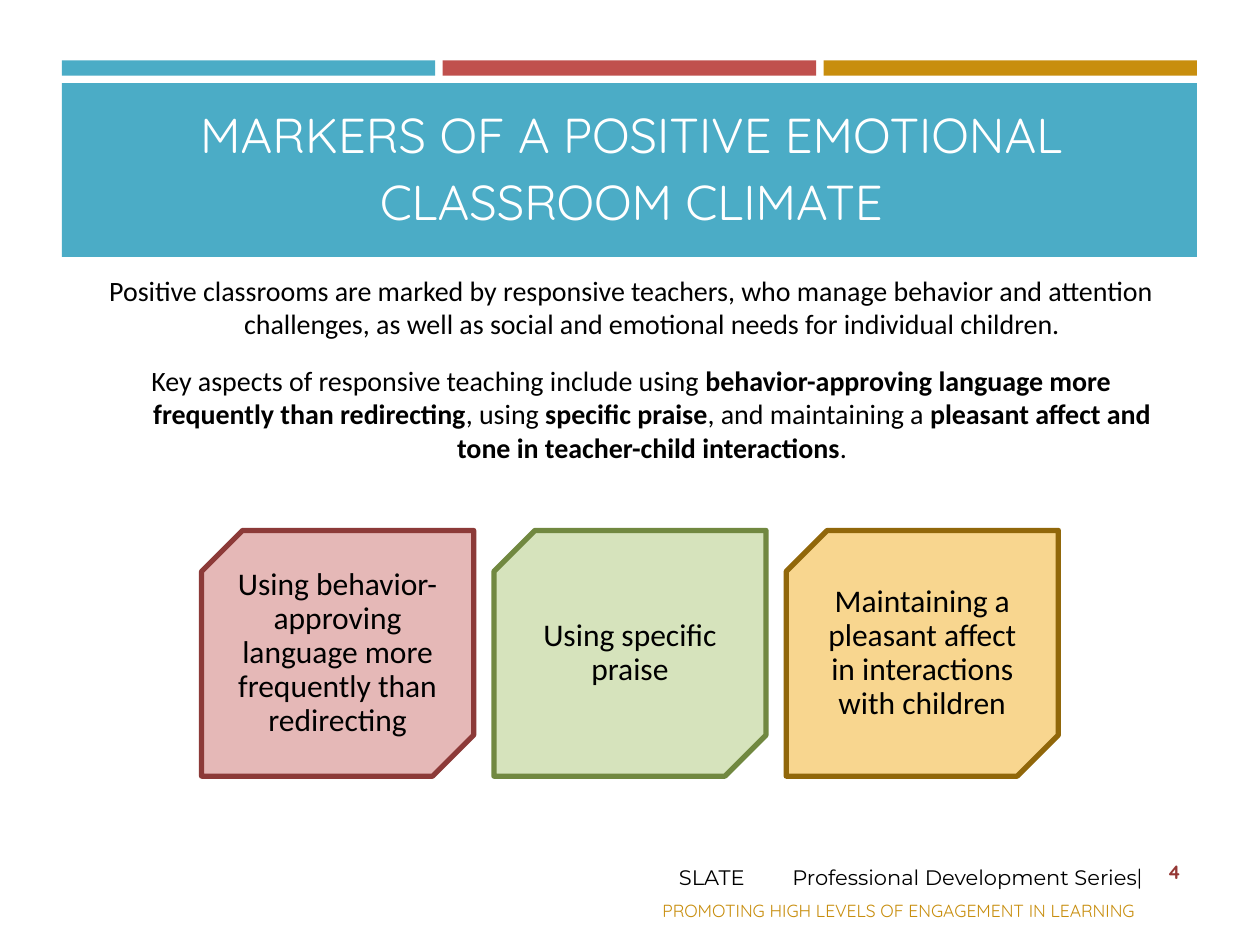
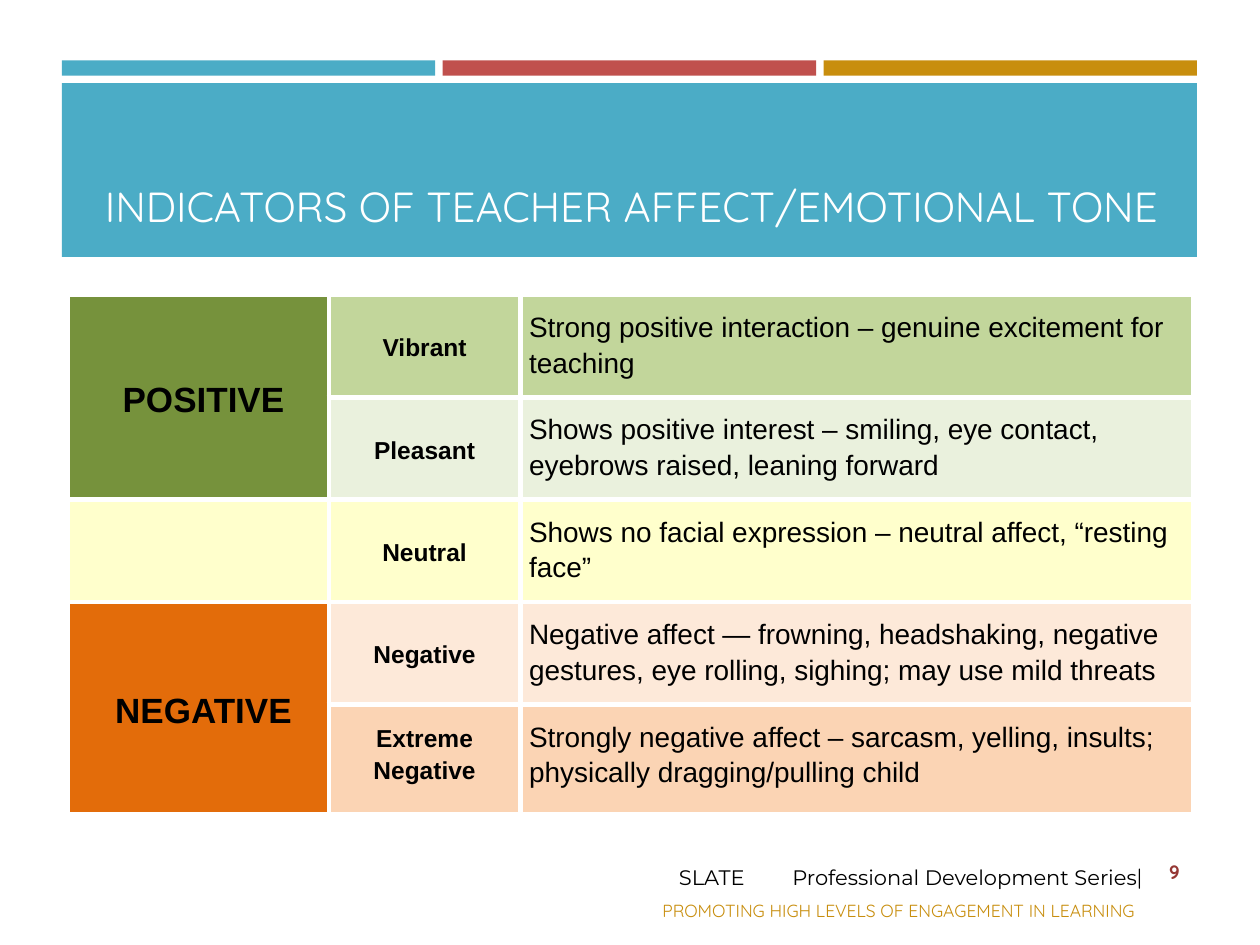
from lxml import etree
from pptx import Presentation
from pptx.dml.color import RGBColor
from pptx.enum.shapes import MSO_SHAPE as Preset
from pptx.enum.text import MSO_ANCHOR as Anchor, PP_ALIGN as Align
from pptx.oxml.ns import qn
from pptx.util import Inches, Pt

TEAL, RED, GOLD = "4BACC6", "C0504D", "C88E0E"
WHITE, BLACK, MAROON = "FFFFFF", "000000", "953734"
HEADING, BODY, FOOTER, TABLE = "Quicksand", "Calibri", "Montserrat", "Arial"

BAND_LEFT, BAND_WIDTH, BAR_GAP = 0.49, 9.01, 0.06
SERIES = "SLATE\tProfessional Development Series"
TAGLINE = "PROMOTING HIGH LEVELS OF ENGAGEMENT IN LEARNING"

CLIMATE_TITLE = "MARKERS OF A POSITIVE EMOTIONAL CLASSROOM CLIMATE"
# Each paragraph is a list of (text, bold)
CLIMATE_TEXT = [
    [("Positive classrooms are marked by responsive teachers, who manage behavior and attention "
      "challenges, as well as social and emotional needs for individual children.", False)],
    [("Key aspects of responsive teaching include using ", False),
     ("behavior-approving language more frequently than redirecting", True),
     (", using ", False),
     ("specific praise", True),
     (", and maintaining a ", False),
     ("pleasant affect and tone in teacher-child interactions", True),
     (".", False)],
]
# Text, fill, outline
CARDS = [
    ("Using behavior-approving language more frequently than redirecting", "E5B8B7", "8C3A38"),
    ("Using specific praise", "D6E3BC", "718840"),
    ("Maintaining a pleasant affect in interactions with children", "F8D68F", "91670A"),
]
CARD_LEFT, CARD_TOP, CARD_WIDTH, CARD_HEIGHT, CARD_PITCH = 1.6, 4.21, 2.16, 1.95, 2.32

TONE_TITLE = "INDICATORS OF TEACHER AFFECT/EMOTIONAL TONE"
# Group, fill, its levels (name, description, fill)
TONES = [
    ("POSITIVE", "76923C", [
        ("Vibrant", "Strong positive interaction – genuine excitement for teaching", "C2D69B"),
        ("Pleasant", "Shows positive interest – smiling, eye contact, eyebrows raised, "
                     "leaning forward", "EAF1DD")]),
    ("", "FFFFCC", [
        ("Neutral", "Shows no facial expression – neutral affect, “resting face”", "FFFFCC")]),
    ("NEGATIVE", "E36C0A", [
        ("Negative", "Negative affect — frowning, headshaking, negative gestures, eye rolling, "
                     "sighing; may use mild threats", "FDE9D9"),
        ("Extreme Negative", "Strongly negative affect – sarcasm, yelling, insults; "
                             "physically dragging/pulling child", "FBD4B4")]),
]
COLUMN_WIDTHS = [2.07, 1.52, 5.34]
ROW_HEIGHTS = [0.78, 0.78, 0.78, 0.78, 0.87]


def rgb(color):
    return RGBColor.from_string(color)


def style(para, font, size, color=BLACK, bold=False, align=Align.CENTER, spacing=None):
    para.font.name, para.font.size, para.font.bold = font, Pt(size), bold
    para.font.color.rgb = rgb(color)
    para.alignment = align
    if spacing:
        para.line_spacing = spacing


def set_margins(target, side, top):
    """Set the text insets of a frame or a cell."""
    target.margin_left = target.margin_right = Inches(side)
    target.margin_top = target.margin_bottom = Inches(top)


def set_indent(para, left, first=0):
    properties = para._p.get_or_add_pPr()
    properties.set("marL", str(Inches(left)))
    properties.set("indent", str(Inches(first)))


def add_tab_stop(para, position):
    tabs = etree.SubElement(para._p.get_or_add_pPr(), qn("a:tabLst"))
    etree.SubElement(tabs, qn("a:tab"), pos=str(Inches(position)), algn="l")


def add_frame(page, left, top, width, height, anchor=Anchor.TOP, inset=0.05):
    box = page.shapes.add_textbox(*map(Inches, (left, top, width, height)))
    frame = box.text_frame
    frame.word_wrap = True
    frame.vertical_anchor = anchor
    set_margins(frame, 0.1, inset)
    return frame


def add_block(page, preset, left, top, width, height, fill, outline=None):
    block = page.shapes.add_shape(preset, *map(Inches, (left, top, width, height)))
    block.shadow.inherit = False
    block.fill.solid()
    block.fill.fore_color.rgb = rgb(fill)
    if outline:
        block.line.color.rgb = rgb(outline)
        block.line.width = Pt(3)
    else:
        block.line.fill.background()
    return block


def add_page(deck, title, title_size, number):
    """Add a slide with the bars, title band and footer."""
    page = deck.slides.add_slide(deck.slide_layouts[6])
    bar_width = (BAND_WIDTH - 2 * BAR_GAP) / 3
    for index, color in enumerate((TEAL, RED, GOLD)):
        left = BAND_LEFT + index * (bar_width + BAR_GAP)
        add_block(page, Preset.RECTANGLE, left, 0.48, bar_width, 0.12, color)
    add_block(page, Preset.RECTANGLE, BAND_LEFT, 0.66, BAND_WIDTH, 1.38, TEAL)

    para = add_frame(page, 0.64, 0.75, 8.74, 1.18, Anchor.BOTTOM, 0.1).paragraphs[0]
    para.text = title
    style(para, HEADING, title_size, WHITE, spacing=1.15)

    para = add_frame(page, 9.06, 6.72, 0.52, 0.4, Anchor.MIDDLE).paragraphs[0]
    para.text = str(number)
    style(para, HEADING, 11, MAROON, bold=True)

    para = add_frame(page, 5.29, 6.78, 4.29, 0.37, Anchor.MIDDLE).paragraphs[0]
    para.text = SERIES
    style(para, FOOTER, 12, align=Align.LEFT)
    add_tab_stop(para, 0.9)
    divider = para.add_run()
    divider.text = "|"
    divider.font.name = HEADING

    para = add_frame(page, 5.09, 7.09, 4.08, 0.27).paragraphs[0]
    para.text = TAGLINE
    style(para, HEADING, 10, GOLD)
    return page


def add_climate_page(deck):
    page = add_page(deck, CLIMATE_TITLE, 28, 4)
    frame = add_frame(page, 0.64, 2.07, 8.74, 1.8, inset=0.1)
    for index, spans in enumerate(CLIMATE_TEXT):
        para = frame.add_paragraph() if index else frame.paragraphs[0]
        for text, bold in spans:
            span = para.add_run()
            span.text, span.font.bold = text, bold
        style(para, BODY, 16)
        set_indent(para, 0.33, -0.33)
        para.space_before = Pt(13 if index else 0)

    for index, (text, fill, outline) in enumerate(CARDS):
        card = add_block(page, Preset.SNIP_2_DIAG_RECTANGLE, CARD_LEFT + index * CARD_PITCH,
                         CARD_TOP, CARD_WIDTH, CARD_HEIGHT, fill, outline)
        card.adjustments[0], card.adjustments[1] = 0.167, 0
        frame = card.text_frame
        frame.word_wrap = True
        frame.vertical_anchor = Anchor.MIDDLE
        set_margins(frame, 0.12, 0)
        para = frame.paragraphs[0]
        para.text = text
        style(para, BODY, 18, spacing=0.9)


def fill_cell(cell, text, fill, size, bold=True, align=Align.CENTER, anchor=Anchor.MIDDLE):
    cell.fill.solid()
    cell.fill.fore_color.rgb = rgb(fill)
    cell.vertical_anchor = anchor
    set_margins(cell, 0.07, 0.1)
    para = cell.text_frame.paragraphs[0]
    para.text = text
    style(para, TABLE, size, bold=bold, align=align, spacing=1.15)


def add_borders(cell):
    properties = cell._tc.get_or_add_tcPr()
    for index, side in enumerate(("lnL", "lnR", "lnT", "lnB")):
        line = etree.Element(qn(f"a:{side}"), w=str(Pt(3)))
        solid = etree.SubElement(line, qn("a:solidFill"))
        etree.SubElement(solid, qn("a:srgbClr"), val=WHITE)
        properties.insert(index, line)


def add_tone_page(deck):
    page = add_page(deck, TONE_TITLE, 24, 9)
    table = page.shapes.add_table(
        len(ROW_HEIGHTS), len(COLUMN_WIDTHS), Inches(0.54), Inches(2.34),
        Inches(sum(COLUMN_WIDTHS)), Inches(sum(ROW_HEIGHTS))).table
    table.first_row = table.horz_banding = False
    for column, width in zip(table.columns, COLUMN_WIDTHS):
        column.width = Inches(width)
    for row, height in zip(table.rows, ROW_HEIGHTS):
        row.height = Inches(height)

    row = 0
    for group, group_fill, levels in TONES:
        group_cell = table.cell(row, 0)
        if len(levels) > 1:
            group_cell.merge(table.cell(row + len(levels) - 1, 0))
        fill_cell(group_cell, group, group_fill, 20)
        set_indent(group_cell.text_frame.paragraphs[0], 0.08)
        for name, description, fill in levels:
            fill_cell(table.cell(row, 1), name, fill, 14)
            fill_cell(table.cell(row, 2), description, fill, 16, False, Align.LEFT, Anchor.TOP)
            row += 1
    table.cell(row - 1, 1).margin_bottom = Inches(0.2)
    for cell in table.iter_cells():
        add_borders(cell)


def main():
    deck = Presentation()
    deck.slide_width, deck.slide_height = Inches(10), Inches(7.5)
    add_climate_page(deck)
    add_tone_page(deck)
    deck.save("out.pptx")


if __name__ == "__main__":
    main()
